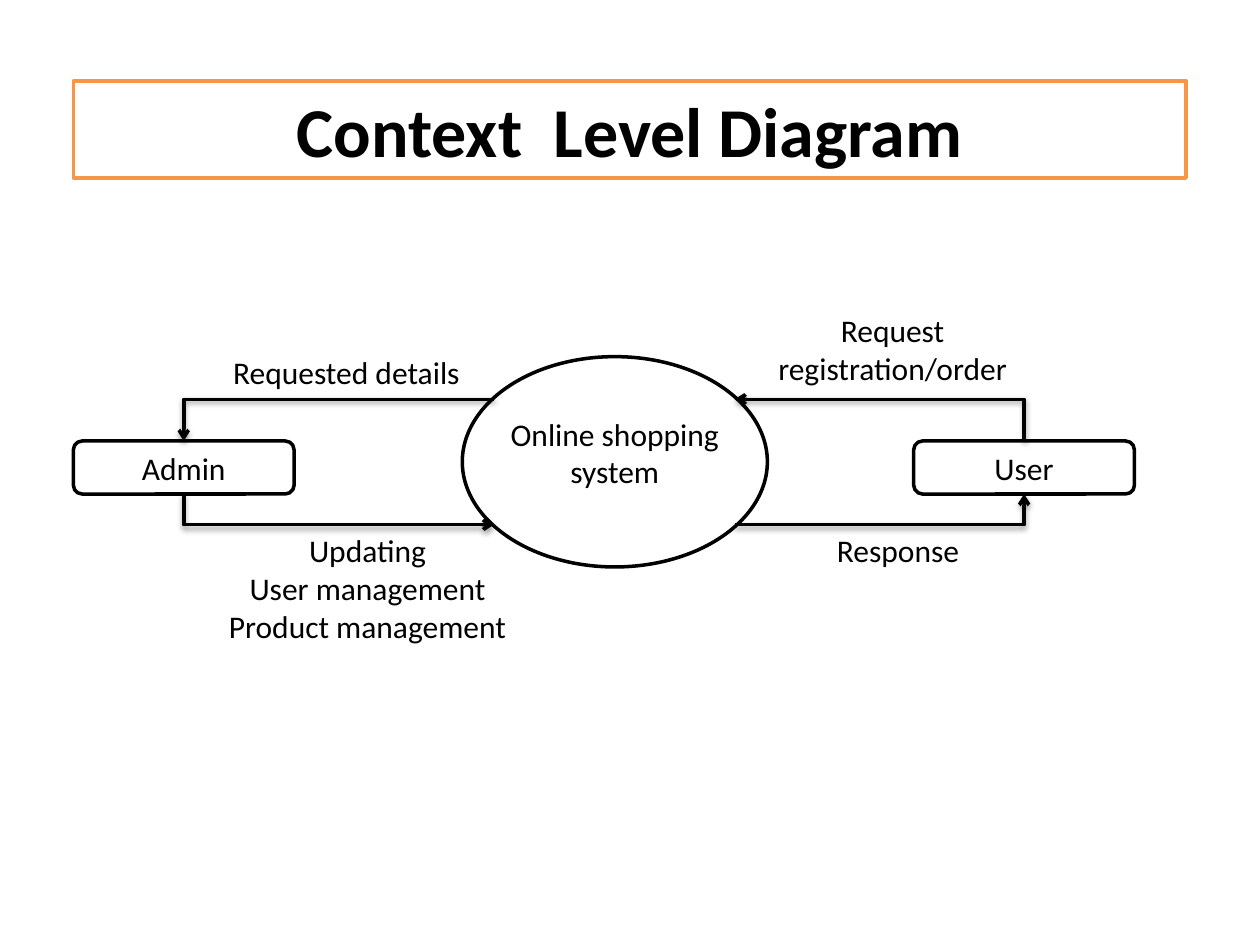
from pptx import Presentation
from pptx.dml.color import RGBColor
from pptx.enum.shapes import MSO_CONNECTOR as CXN, MSO_SHAPE as SHAPE
from pptx.enum.text import MSO_ANCHOR as ANCHOR, PP_ALIGN as ALIGN
from pptx.oxml.ns import qn
from pptx.util import Cm, Pt
from lxml.etree import SubElement

BLACK, WHITE, ORANGE = "000000", "FFFFFF", "F79646"
TITLE = {"name": "Calibri", "size": Pt(40), "bold": True}
BODY = {"name": "Calibri", "size": Pt(18), "bold": False}


def color(hex_string):
    return RGBColor.from_string(hex_string)


def lengths(*values):
    return [Cm(v) for v in values]


def set_attrs(obj, values):
    for key, value in values.items():
        setattr(obj, key, value)


def write(sp, text, fmt, **frame):
    tf = sp.text_frame
    set_attrs(tf, {"word_wrap": True, **frame})
    tf.text = text
    for p in tf.paragraphs:
        p.alignment = ALIGN.CENTER
        for r in p.runs:
            set_attrs(r.font, fmt)
            r.font.color.rgb = color(BLACK)


def outline(sp, hex_string):
    sp.line.color.rgb = color(hex_string)
    sp.line.width = Pt(2)


def add_node(s, kind, text, box, **frame):
    sp = s.shapes.add_shape(kind, *lengths(*box))
    sp.shadow.inherit = False
    sp.fill.solid()
    sp.fill.fore_color.rgb = color(WHITE)
    outline(sp, BLACK)
    write(sp, text, BODY, vertical_anchor=ANCHOR.MIDDLE, **frame)
    return sp


def add_flow(s, start, actor, side, arrow_end):
    x, y = lengths(*start)
    cx = s.shapes.add_connector(CXN.ELBOW, x, y, x, y)
    cx.end_connect(actor, side)
    cx._element.spPr.find(qn("a:prstGeom")).set("prst", "bentConnector2")
    outline(cx, BLACK)
    ln = cx.line._get_or_add_ln()
    SubElement(ln, qn(f"a:{arrow_end}"), type="arrow")


def add_title(s, left, top, width, height):
    sp = s.shapes.title
    box = lengths(left, top, width, height)
    set_attrs(sp, dict(zip(("left", "top", "width", "height"), box)))
    outline(sp, ORANGE)
    write(sp, "Context  Level Diagram", TITLE, vertical_anchor=ANCHOR.MIDDLE)


def add_context_diagram(s, left, top):
    def at(x, y, *size):
        return (left + x, top + y, *size)

    upper, lower = 1.91, 4.44
    system_left, system_right = 8.48, 13.33
    add_node(s, SHAPE.OVAL, "Online shopping system", at(7.84, 1.05, 6.15, 4.24),
             margin_left=0, margin_right=0, margin_top=0, margin_bottom=Cm(0.38))
    admin, user = [
        add_node(s, SHAPE.ROUNDED_RECTANGLE, name, at(x, 2.75, 4.45, 1.07))
        for name, x in (("Admin", 0), ("User", 16.94))
    ]

    flows = [
        (system_right, upper, user, 0, "headEnd"),
        (system_left, upper, admin, 0, "tailEnd"),
        (system_left, lower, admin, 2, "headEnd"),
        (system_right, lower, user, 2, "tailEnd"),
    ]
    for x, y, actor, side, arrow_end in flows:
        add_flow(s, at(x, y), actor, side, arrow_end)

    labels = [
        ("Updating\nUser management\nProduct management", 1.91, lower, 8.04, 2.57),
        ("Requested details", 2.33, 0.85, 6.35, 1.02),
        ("Request registration/order", 13.34, 0, 6.35, 1.8),
        ("Response", 14.4, lower, 4.45, 1.07),
    ]
    for text, *box in labels:
        write(s.shapes.add_textbox(*lengths(*at(*box))), text, BODY)


def main():
    prs = Presentation()
    prs.slide_width, prs.slide_height = lengths(25.4, 19.05)
    s = prs.slides.add_slide(prs.slide_layouts[5])
    add_title(s, 1.48, 1.63, 22.43, 1.96)
    add_context_diagram(s, 1.48, 6.14)
    prs.save("out.pptx")


if __name__ == "__main__":
    main()
